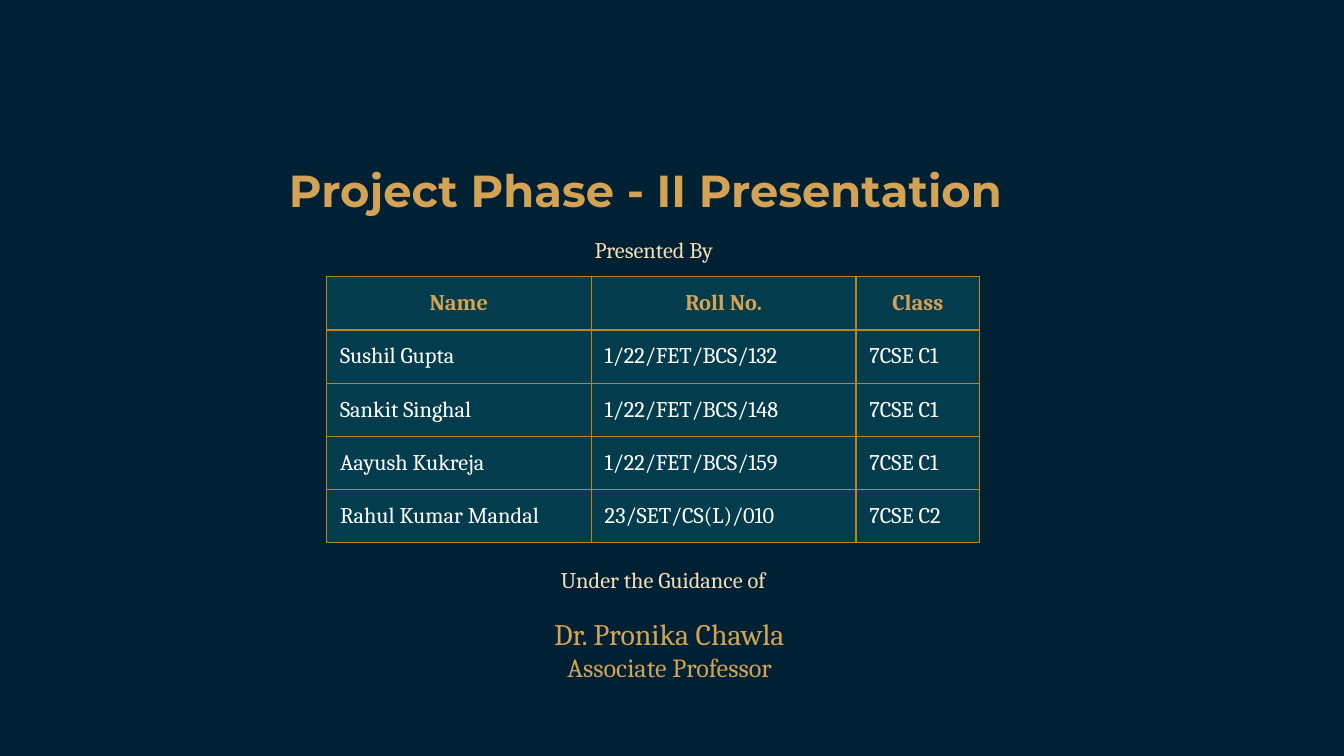
from pptx import Presentation
from pptx.dml.color import RGBColor
from pptx.enum.text import MSO_ANCHOR, MSO_AUTO_SIZE, PP_ALIGN
from pptx.oxml import parse_xml
from pptx.oxml.ns import nsdecls
from pptx.util import Inches, Pt

COLORS = {
    "background": "002034",
    "gold": "D4A255",
    "cream": "F4DFB7",
    "cell": "033C4D",
    "border": "C08515",
    "white": "FFFFFF",
}
SLIDE_WIDTH = 10
SLIDE_HEIGHT = SLIDE_WIDTH * 9 / 16
TITLE = "Project Phase - II Presentation"
CAPTIONS = [
    (0.65, 1.66, 0.4, [("Presented By", 12, "cream")]),
    (0.72, 4.11, 0.4, [("Under the Guidance of", 12, "cream")]),
    (0.79, 4.52, 0.62, [("Dr. Pronika Chawla ", 16, "gold"),
                        ("Associate Professor ", 14, "gold")]),
]
CAPTION_WIDTH = 8.43
STUDENTS = [
    ("Name", "Roll No.", "Class"),
    ("Sushil Gupta", "1/22/FET/BCS/132", "7CSE C1"),
    ("Sankit Singhal", "1/22/FET/BCS/148", "7CSE C1"),
    ("Aayush Kukreja", "1/22/FET/BCS/159", "7CSE C1"),
    ("Rahul Kumar Mandal", "23/SET/CS(L)/010", "7CSE C2"),
]
COLUMN_WIDTHS = [1.97, 1.97, 0.92]
TABLE_HEIGHT = 1.98


def color(name):
    return RGBColor.from_string(COLORS[name])


def write(para, text, size, tint, align, bold=False, font="Cambria"):
    para.text = text
    para.alignment = align
    for span in para.runs:
        span.font.name = font
        span.font.size = Pt(size)
        span.font.bold = bold
        span.font.color.rgb = color(tint)


def add_title(page):
    title = page.shapes.title
    title.left, title.top = Inches(2.05), Inches(1.16)
    title.width, title.height = Inches(5.63), Inches(0.5)
    frame = title.text_frame
    frame.word_wrap = True
    frame.auto_size = MSO_AUTO_SIZE.SHAPE_TO_FIT_TEXT
    frame.vertical_anchor = MSO_ANCHOR.TOP
    write(frame.paragraphs[0], TITLE, 24, "gold", PP_ALIGN.LEFT, True, "Montserrat")


def add_caption(page, left, top, height, lines):
    box = page.shapes.add_textbox(Inches(left), Inches(top), Inches(CAPTION_WIDTH), Inches(height))
    frame = box.text_frame
    frame.word_wrap = True
    frame.vertical_anchor = MSO_ANCHOR.MIDDLE
    frame.margin_left = frame.margin_right = Inches(0.1)
    frame.margin_top = frame.margin_bottom = Inches(0.1)
    for index, (text, size, tint) in enumerate(lines):
        para = frame.add_paragraph() if index else frame.paragraphs[0]
        write(para, text, size, tint, PP_ALIGN.CENTER)


def add_borders(cell):
    properties = cell._tc.get_or_add_tcPr()
    for index, side in enumerate(("lnL", "lnR", "lnT", "lnB")):
        properties.insert(index, parse_xml(
            f'<a:{side} {nsdecls("a")} w="{Pt(0.75)}"><a:solidFill>'
            f'<a:srgbClr val="{COLORS["border"]}"/></a:solidFill></a:{side}>'))


def add_students(page):
    table = page.shapes.add_table(
        len(STUDENTS), len(COLUMN_WIDTHS), Inches(2.43), Inches(2.06),
        Inches(sum(COLUMN_WIDTHS)), Inches(TABLE_HEIGHT)).table
    for column, width in zip(table.columns, COLUMN_WIDTHS):
        column.width = Inches(width)
    for row_index, student in enumerate(STUDENTS):
        header = row_index == 0
        for column_index, text in enumerate(student):
            cell = table.cell(row_index, column_index)
            cell.fill.solid()
            cell.fill.fore_color.rgb = color("cell")
            cell.vertical_anchor = MSO_ANCHOR.MIDDLE
            cell.margin_left = cell.margin_right = Inches(0.1)
            cell.margin_top = cell.margin_bottom = 0
            write(cell.text_frame.paragraphs[0], text, 12,
                  "gold" if header else "white",
                  PP_ALIGN.CENTER if header else PP_ALIGN.LEFT, header)
            add_borders(cell)


def main():
    deck = Presentation()
    deck.slide_width, deck.slide_height = Inches(SLIDE_WIDTH), Inches(SLIDE_HEIGHT)
    page = deck.slides.add_slide(deck.slide_layouts[5])
    page.background.fill.solid()
    page.background.fill.fore_color.rgb = color("background")
    add_title(page)
    add_students(page)
    for caption in CAPTIONS:
        add_caption(page, *caption)
    deck.save("out.pptx")


if __name__ == "__main__":
    main()
